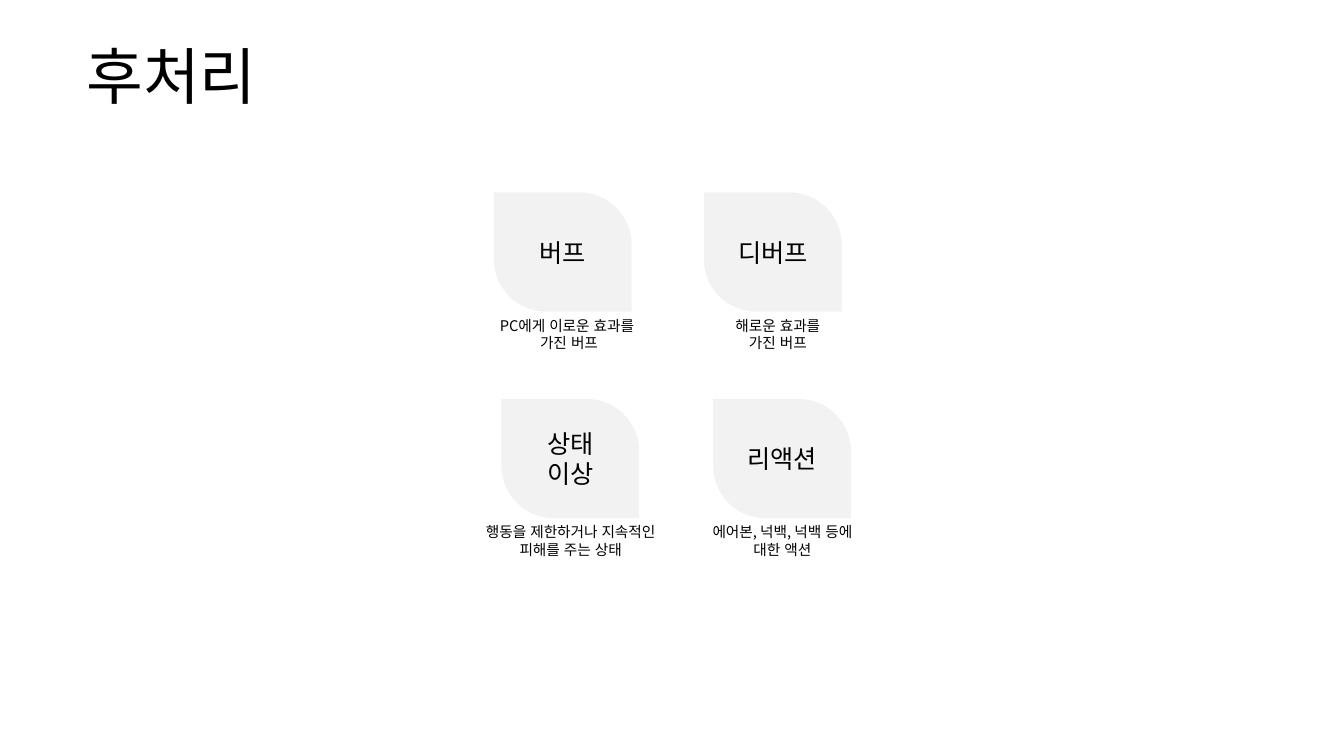
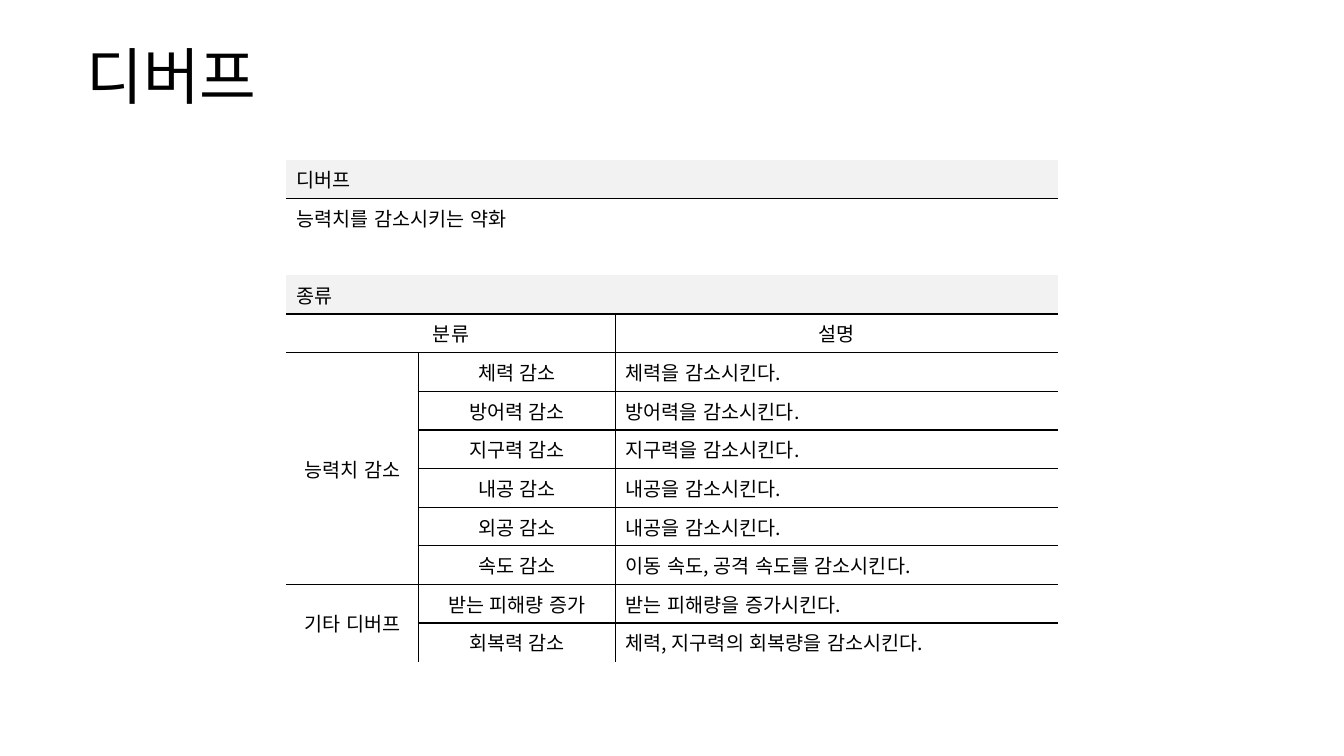
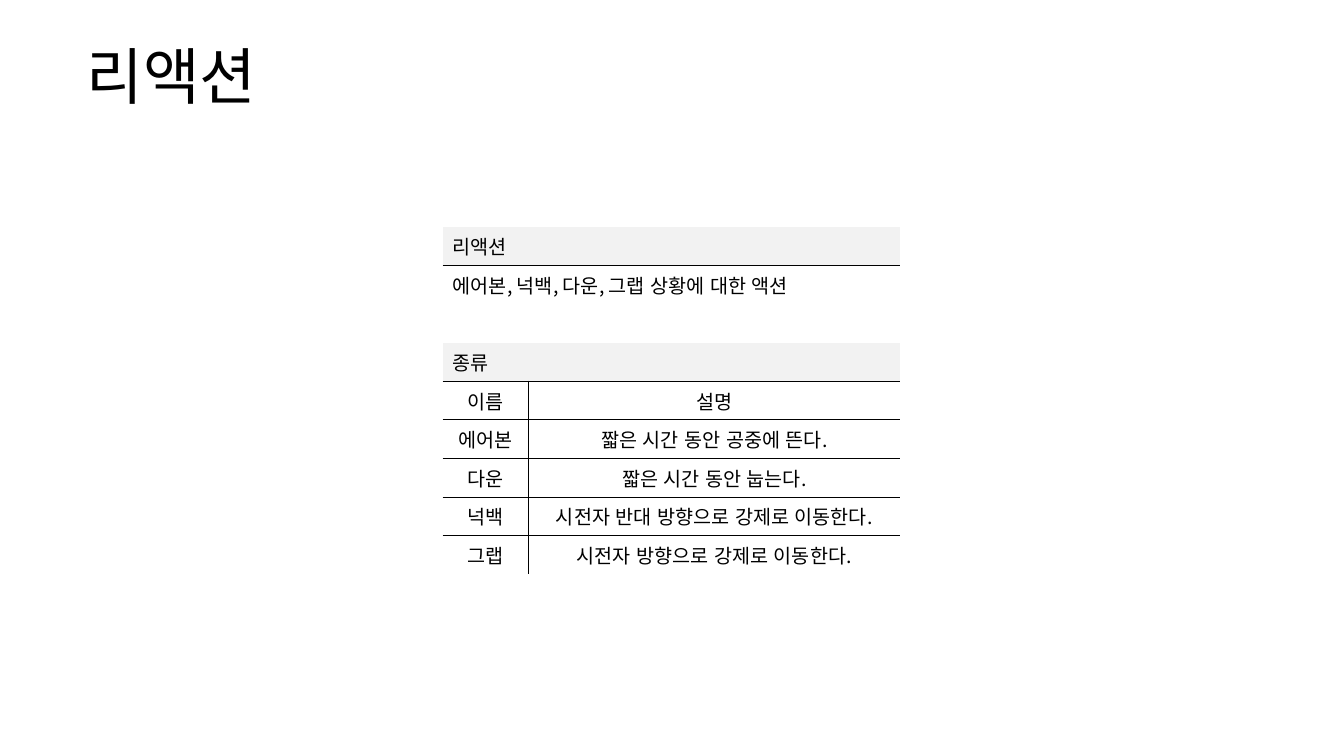
from lxml.etree import SubElement
from pptx import Presentation
from pptx.dml.color import RGBColor
from pptx.enum.lang import MSO_LANGUAGE_ID as LANG
from pptx.enum.shapes import MSO_SHAPE as SHAPE
from pptx.enum.text import MSO_ANCHOR as ANCHOR, MSO_AUTO_SIZE as AUTO, PP_ALIGN as ALIGN
from pptx.oxml.ns import qn
from pptx.util import Emu, Pt

PX = 7620
FONT = "Noto Sans CJK KR"
BLACK, GRAY = "000000", "F2F2F2"


def color(hex_text):
    return RGBColor.from_string(hex_text)


def write(tf, lines, size, align, spacing=None):
    for i, line in enumerate(lines):
        p = tf.paragraphs[0] if i == 0 else tf.add_paragraph()
        p.alignment = align
        p.line_spacing = spacing
        r = p.add_run()
        r.text = line
        r.font.size = Pt(size)
        r.font.name = FONT
        r.font.language_id = LANG.KOREAN
        r.font.color.rgb = color(BLACK)
        SubElement(r._r.get_or_add_rPr(), qn("a:ea"), typeface=FONT)


prs = Presentation()
prs.slide_width, prs.slide_height = Emu(1600 * PX), Emu(900 * PX)

# Slides and their titles
slides = []
for title in ("후처리", "디버프", "리액션"):
    s = prs.slides.add_slide(prs.slide_layouts[6])
    tf = s.shapes.add_textbox(91 * PX, 38 * PX, 1417 * PX, 113 * PX).text_frame
    tf.word_wrap = True
    tf.vertical_anchor = ANCHOR.MIDDLE
    write(tf, [title], 44, ALIGN.LEFT, 0.9)
    slides.append(s)

# Slide 1: leaf, its left and top, caption, caption left and width
LEAF_W, LEAF_H = 164, 142
leaves = [
    (["디버프"], 838, 229, ["해로운 효과를", "가진 버프"], 802, 248),
    (["상태", "이상"], 597, 475, ["행동을 제한하거나 지속적인 피해를 주는 상태"], 562, 235),
    (["버프"], 588, 229, ["PC에게 이로운 효과를", " 가진 버프"], 551, 248),
    (["리액션"], 849, 475, ["에어본, 넉백, 넉백 등에", "대한 액션"], 814, 235),
]
for name, left, top, caption, caption_left, caption_w in leaves:
    sp = slides[0].shapes.add_shape(
        SHAPE.ROUND_2_DIAG_RECTANGLE, left * PX, top * PX, LEAF_W * PX, LEAF_H * PX)
    sp.adjustments[0], sp.adjustments[1] = 0, 0.44
    sp.shadow.inherit = False
    sp.fill.solid()
    sp.fill.fore_color.rgb = color(GRAY)
    sp.line.fill.background()
    sp.text_frame.vertical_anchor = ANCHOR.MIDDLE
    write(sp.text_frame, name, 18, ALIGN.CENTER)
    tf = slides[0].shapes.add_textbox(
        caption_left * PX, (top + LEAF_H) * PX, caption_w * PX, 54 * PX).text_frame
    tf.word_wrap = True
    tf.auto_size = AUTO.SHAPE_TO_FIT_TEXT
    write(tf, caption, 10.5, ALIGN.CENTER)

# Slides 2 and 3: left, top, column widths, rows, merged areas, left-aligned column
ROW_H = 46
HEADER_ROWS = 4
debuffs = [
    ["디버프", "", ""],
    ["능력치를 감소시키는 약화", "", ""],
    ["", "", ""],
    ["종류", "", ""],
    ["분류", "", "설명"],
    ["능력치 감소", "체력 감소", "체력을 감소시킨다."],
    ["", "방어력 감소", "방어력을 감소시킨다."],
    ["", "지구력 감소", "지구력을 감소시킨다."],
    ["", "내공 감소", "내공을 감소시킨다."],
    ["", "외공 감소", "내공을 감소시킨다."],
    ["", "속도 감소", "이동 속도, 공격 속도를 감소시킨다."],
    ["기타 디버프", "받는 피해량 증가", "받는 피해량을 증가시킨다."],
    ["", "회복력 감소", "체력, 지구력의 회복량을 감소시킨다."],
]
reactions = [
    ["리액션", ""],
    ["에어본, 넉백, 다운, 그랩 상황에 대한 액션", ""],
    ["", ""],
    ["종류", ""],
    ["이름", "설명"],
    ["에어본", "짧은 시간 동안 공중에 뜬다."],
    ["다운", "짧은 시간 동안 눕는다."],
    ["넉백", "시전자 반대 방향으로 강제로 이동한다."],
    ["그랩", "시전자 방향으로 강제로 이동한다."],
]
tables = [
    (slides[1], 341, 190, [157, 235, 526], debuffs,
     [(4, 0, 4, 1), (5, 0, 10, 0), (11, 0, 12, 0)], 2),
    (slides[2], 527, 270, [102, 443], reactions, [], None),
]
for s, left, top, widths, rows, merges, left_col in tables:
    last_row, last_col = len(rows) - 1, len(widths) - 1
    table = s.shapes.add_table(
        len(rows), len(widths), left * PX, top * PX,
        sum(widths) * PX, len(rows) * ROW_H * PX).table
    table.first_row = table.horz_banding = False
    for column, width in zip(table.columns, widths):
        column.width = Emu(width * PX)

    # Merged areas
    area_of = {}
    for area in merges + [(r, 0, r, last_col) for r in range(HEADER_ROWS)]:
        r0, c0, r1, c1 = area
        table.cell(r0, c0).merge(table.cell(r1, c1))
        for r in range(r0, r1 + 1):
            for c in range(c0, c1 + 1):
                area_of[r, c] = area

    for r, row in enumerate(rows):
        for c, text in enumerate(row):
            cell = table.cell(r, c)

            # Text
            if text:
                centered = r >= HEADER_ROWS and (c != left_col or r == HEADER_ROWS)
                write(cell.text_frame, [text], 14, ALIGN.CENTER if centered else ALIGN.LEFT)
            else:
                SubElement(cell.text_frame.paragraphs[0]._p, qn("a:endParaRPr"), sz="1400")
            if r >= HEADER_ROWS:
                cell.vertical_anchor = ANCHOR.MIDDLE

            # Inner rules, with none around the gap row
            r0, c0, r1, c1 = area_of.get((r, c), (r, c, r, c))
            ruled = {
                "a:lnL": c0 > 0,
                "a:lnR": c1 < last_col,
                "a:lnT": r0 not in (0, 2, 3),
                "a:lnB": r1 not in (1, 2, last_row),
            }
            for tag, visible in ruled.items():
                ln = SubElement(cell._tc.get_or_add_tcPr(), qn(tag), w=str(Pt(1)))
                if visible:
                    SubElement(SubElement(ln, qn("a:solidFill")), qn("a:srgbClr"), val=BLACK)
                else:
                    SubElement(ln, qn("a:noFill"))

            # Fill
            if r in (0, 3):
                cell.fill.solid()
                cell.fill.fore_color.rgb = color(GRAY)
            else:
                cell.fill.background()

prs.save("out.pptx")
